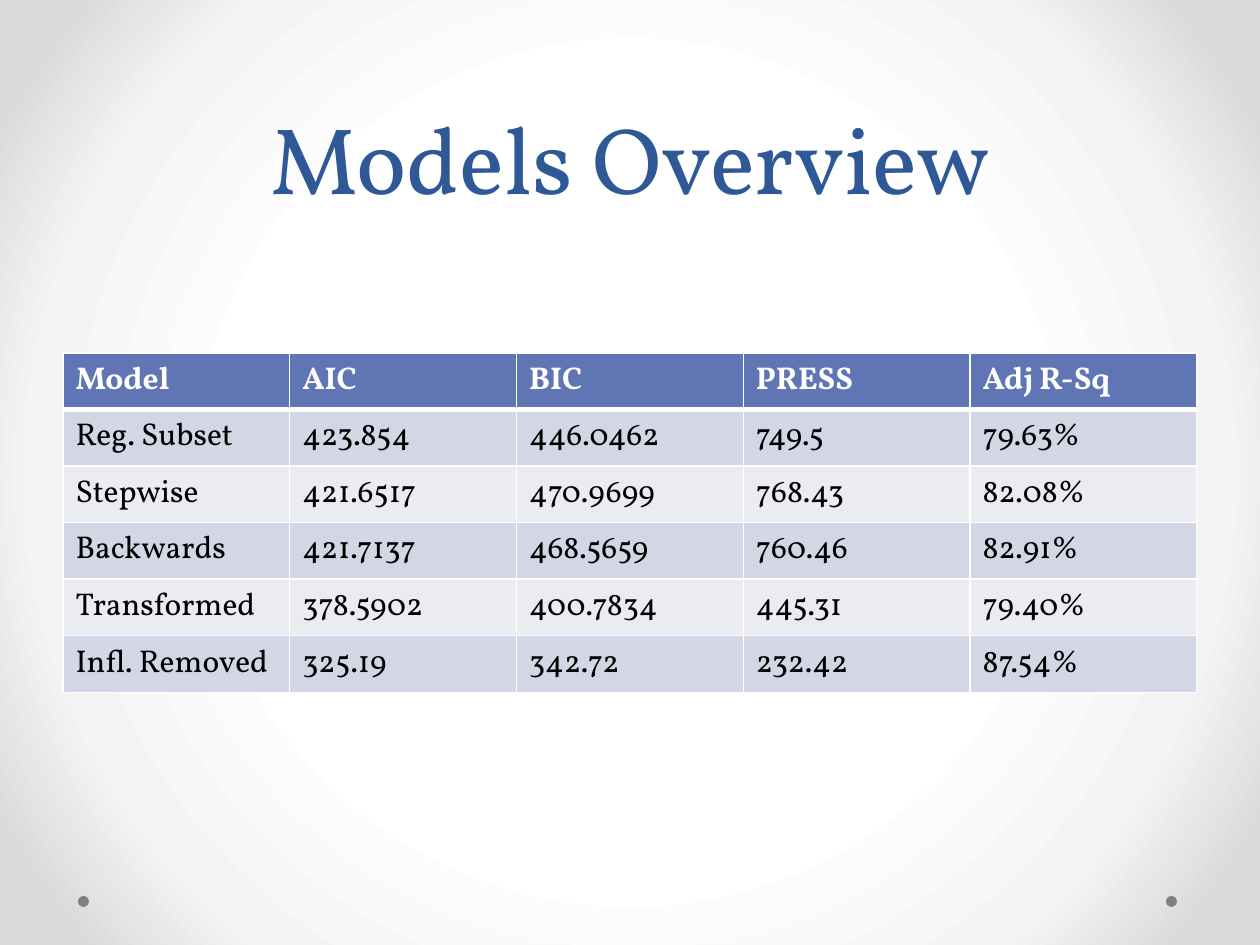
from pptx import Presentation
from pptx.dml.color import RGBColor
from pptx.enum.shapes import MSO_SHAPE
from pptx.enum.text import MSO_ANCHOR, MSO_AUTO_SIZE, PP_ALIGN
from pptx.oxml import parse_xml
from pptx.oxml.ns import nsdecls
from pptx.util import Pt

PX = 914400 // 126
color = RGBColor.from_string


def write_text(frame, text, size=18, fill="000000", bold=False, align=None, spacing=None):
    paragraph = frame.paragraphs[0]
    paragraph.alignment = align
    paragraph.line_spacing = spacing
    run = paragraph.add_run()
    run.text = text
    run.font.name = "Vollkorn"
    run.font.size = Pt(size)
    run.font.bold = bold
    run.font.color.rgb = color(fill)


presentation = Presentation()
presentation.slide_width = 1260 * PX
presentation.slide_height = 945 * PX
slide = presentation.slides.add_slide(presentation.slide_layouts[5])

stops = "".join(
    f'<a:gs pos="{position * 1000}"><a:srgbClr val="{value}"/></a:gs>'
    for position, value in [(50, "FFFFFF"), (76, "F4F4F4"), (92, "DADADA")]
)
background = parse_xml(
    f'<p:bg {nsdecls("p", "a")}><p:bgPr><a:gradFill rotWithShape="1"><a:gsLst>{stops}</a:gsLst>'
    '<a:path path="circle"><a:fillToRect l="50000" t="50000" r="50000" b="50000"/></a:path>'
    "</a:gradFill><a:effectLst/></p:bgPr></p:bg>"
)
slide.element.cSld.insert(0, background)

for left in (1166, 78):
    dot = slide.shapes.add_shape(MSO_SHAPE.OVAL, left * PX, 896 * PX, 11 * PX, 11 * PX)
    dot.shadow.inherit = False
    dot.fill.solid()
    dot.fill.fore_color.rgb = color("808080")
    dot.line.fill.background()

title = slide.shapes.title
title.left, title.top, title.width, title.height = 63 * PX, 0, 1134 * PX, 220 * PX
title.text_frame.auto_size = MSO_AUTO_SIZE.NONE
title.text_frame.vertical_anchor = MSO_ANCHOR.BOTTOM
write_text(title.text_frame, "Models Overview", size=54, fill="2F5897",
           align=PP_ALIGN.CENTER, spacing=Pt(58))

models = [
    ["Model", "AIC", "BIC", "PRESS", "Adj R-Sq"],
    ["Reg. Subset", "423.854", "446.0462", "749.5", "79.63%"],
    ["Stepwise", "421.6517", "470.9699", "768.43", "82.08%"],
    ["Backwards", "421.7137", "468.5659", "760.46", "82.91%"],
    ["Transformed", "378.5902", "400.7834", "445.31", "79.40%"],
    ["Infl. Removed", "325.19", "342.72", "232.42", "87.54%"],
]
table = slide.shapes.add_table(
    len(models), len(models[0]), 63 * PX, 353 * PX, 1134 * PX, 51 * len(models) * PX
).table

for row, values in enumerate(models):
    header = row == 0
    row_fill = "6076B4" if header else ("EAECF2", "D2D6E5")[row % 2]
    for column, value in enumerate(values):
        cell = table.cell(row, column)
        properties = cell._tc.get_or_add_tcPr()
        for side in "LRTB":
            thick = (header and side == "B") or (row == 1 and side == "T")
            width = Pt(3 if thick else 1)
            properties.append(parse_xml(
                f'<a:ln{side} {nsdecls("a")} w="{width}"><a:solidFill>'
                f'<a:srgbClr val="FFFFFF"/></a:solidFill></a:ln{side}>'
            ))
        cell.fill.solid()
        cell.fill.fore_color.rgb = color(row_fill)
        write_text(cell.text_frame, value, fill="FFFFFF" if header else "000000", bold=header)

presentation.save("out.pptx")
